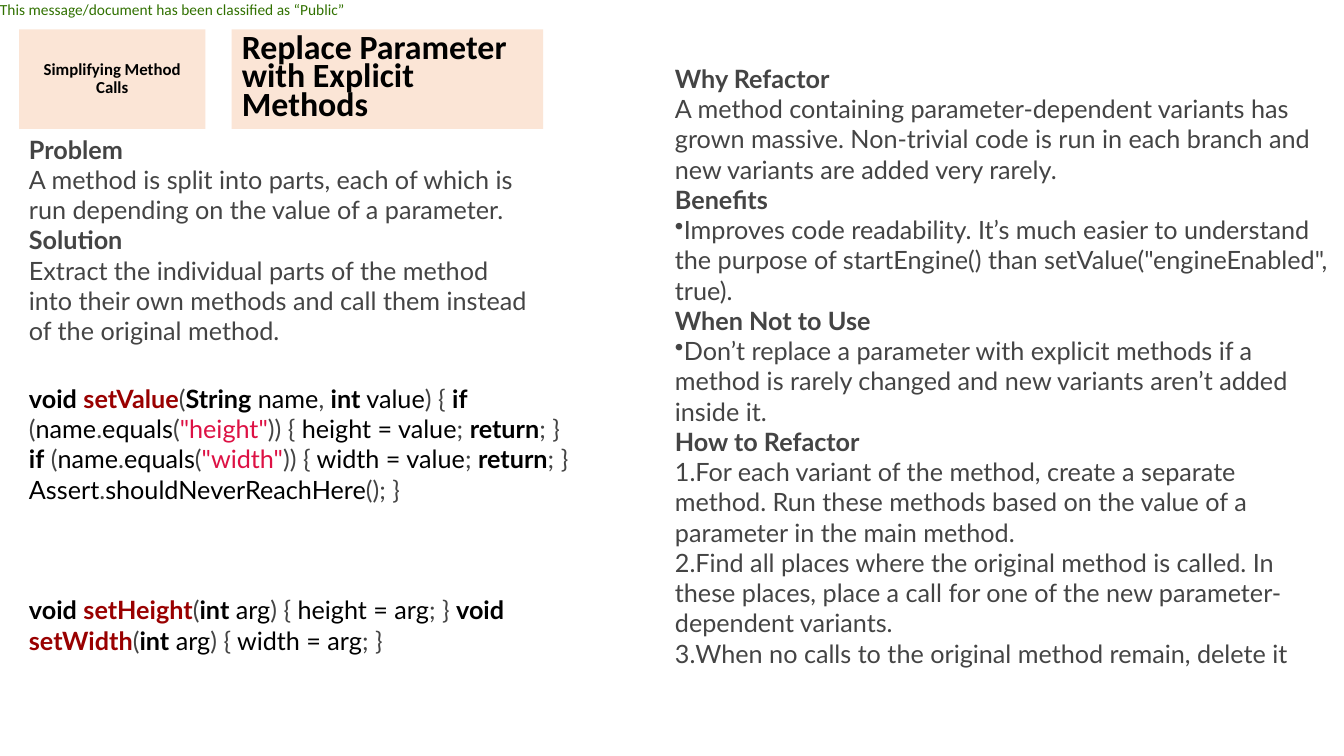
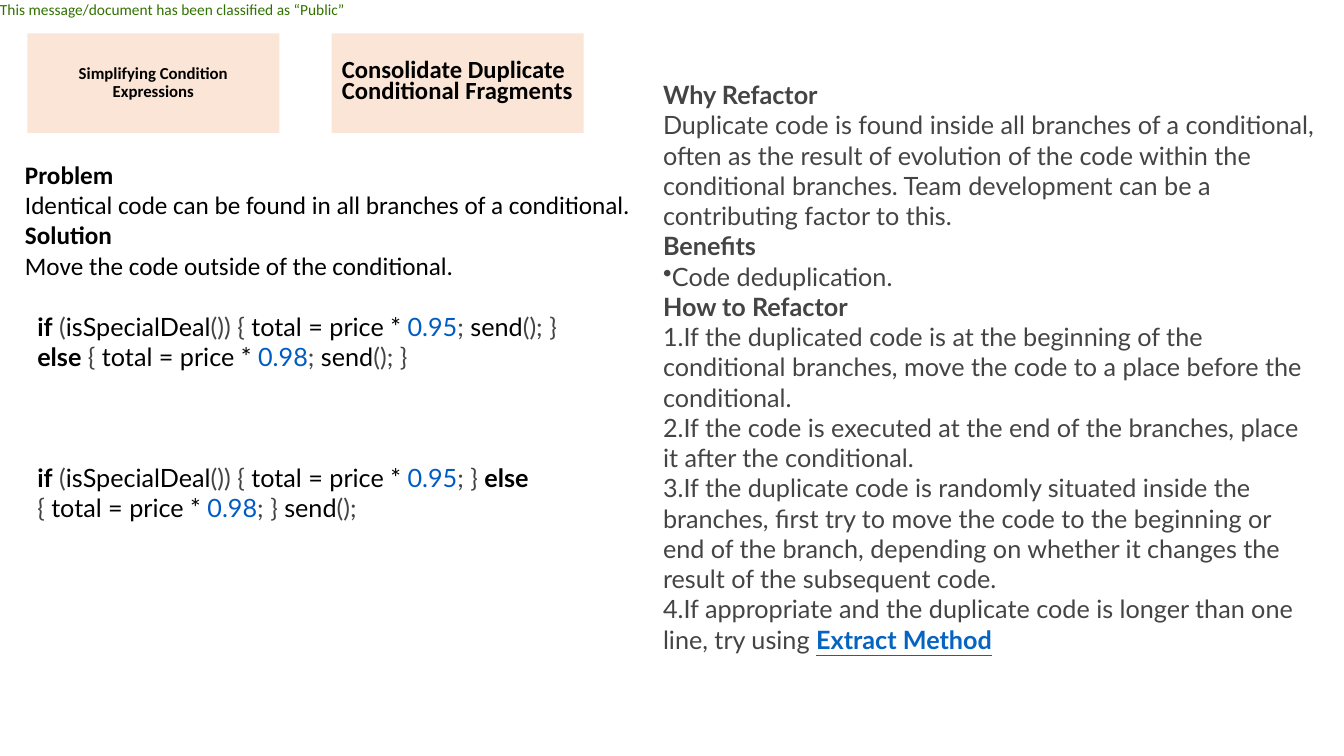
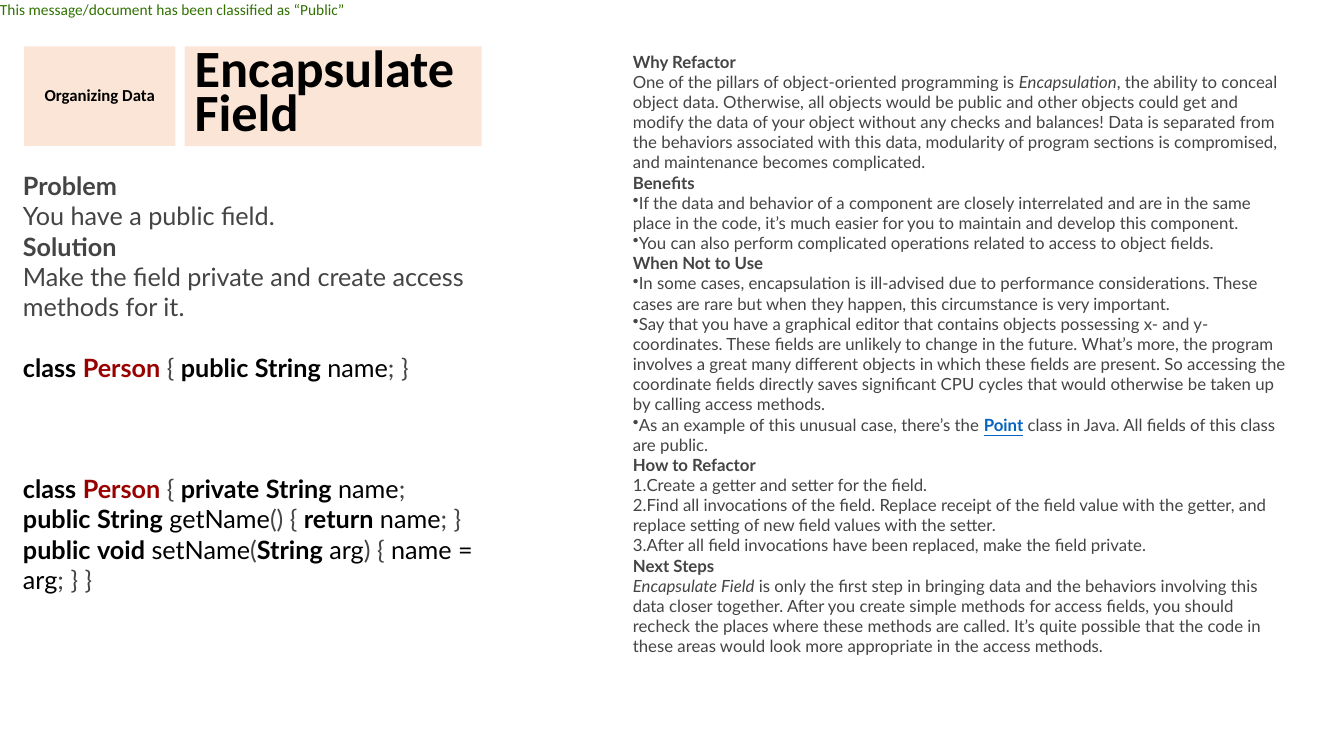
from itertools import groupby

from lxml import etree
from pptx import Presentation
from pptx.dml.color import RGBColor
from pptx.enum import shapes, text
from pptx.oxml import ns
from pptx.util import Cm, Pt

# Shared look
BLACK, GREY, PEACH, GREEN = "000000", "444444", "FBE5D6", "317100"
RED, PINK, BLUE, LINK = "990000", "DD1144", "005CC5", "0563C1"
SANS, BODY = "Calibri", "Lato"
BAND_HEIGHT = 2.51
ARTICLE_WIDTH = 17.04
CODE_GAP = 64.8  # three lines of 18 pt text
CLASSIFICATION = "This message/document has been classified as “Public”"

# Code colouring
KEYWORDS = {"void", "if", "else", "int", "String", "return", "class",
            "public", "private"}
DECLARED = {"setValue", "setHeight", "setWidth", "Person"}
PUNCTUATION = "(){};,"

BULLETS = {"bullet": ("a:buChar", {"char": "•"}),
           "step": ("a:buAutoNum", {"type": "arabicPeriod"})}


def rgb(hex_color):
    return RGBColor.from_string(hex_color)


# Text
def add_run(p, words, size=18, font=BODY, color=GREY, bold=False,
            italic=False, underline=False):
    r = p.add_run()
    r.text = words
    f = r.font
    f.size, f.name, f.color.rgb = Pt(size), font, rgb(color)
    f.bold, f.italic, f.underline = bold, italic, underline
    return r


def italic(words):
    return words, {"italic": True}


def link(words):
    return words, {"color": LINK, "bold": True, "underline": True}


def set_bullet(p, kind):
    pPr = p._p.get_or_add_pPr()
    pPr.set("marL", "0")
    pPr.set("indent", "0")
    tag, attributes = BULLETS[kind]
    etree.SubElement(pPr, ns.qn(tag), attributes)


def add_textbox(s, box, wrap=True):
    tf = s.shapes.add_textbox(*map(Cm, box)).text_frame
    tf.word_wrap = wrap
    return tf


def get_paragraph(tf, first):
    return tf.paragraphs[0] if first else tf.add_paragraph()


def add_sections(s, box, sections, wrap=True, **style):
    """Each section is a bold heading, a paragraph kind and its items."""
    tf = add_textbox(s, box, wrap)
    for i, (heading, kind, items) in enumerate(sections):
        add_run(get_paragraph(tf, i == 0), heading, bold=True, **style)
        for item in items:
            p = tf.add_paragraph()
            if kind in BULLETS:
                set_bullet(p, kind)
            for piece in [item] if isinstance(item, str) else item:
                words, extra = (piece, {}) if isinstance(piece, str) else piece
                add_run(p, words, **{**style, **extra})


# Code
def char_class(c):
    return "mark" if c in PUNCTUATION else "space" if c == " " else "word"


def token_style(token):
    """Colour and weight of one token."""
    if token in KEYWORDS:
        return BLACK, True
    if token in DECLARED:
        return RED, True
    if token[0].isdigit():
        return BLUE, False
    return (GREY if token[0] in PUNCTUATION + "." else BLACK), False


def styled_tokens(line):
    for i, part in enumerate(line.split('"')):
        if i % 2:
            yield f'"{part}"', (PINK, False)
            continue
        for _, chars in groupby(part, char_class):
            token = "".join(chars)
            pieces = [token] if token[0].isdigit() else token.partition(".")
            for piece in filter(None, pieces):
                yield piece, token_style(piece)


def add_code(s, box, before, after):
    tf = add_textbox(s, box)
    for i, line in enumerate((before, after)):
        p = get_paragraph(tf, i == 0)
        if i:
            p.space_before = Pt(CODE_GAP)
        for (color, bold), group in groupby(styled_tokens(line), lambda t: t[1]):
            add_run(p, "".join(t[0] for t in group), color=color, bold=bold)


# Slide parts
def fill_band(shape, words, size, align, spacing):
    shape.fill.solid()
    shape.fill.fore_color.rgb = rgb(PEACH)
    tf = shape.text_frame
    tf.word_wrap = True
    tf.auto_size = text.MSO_AUTO_SIZE.NONE
    tf.vertical_anchor = text.MSO_ANCHOR.MIDDLE
    p = tf.paragraphs[0]
    p.alignment, p.line_spacing = align, spacing
    add_run(p, words, size, SANS, BLACK, bold=True)


def add_header(prs, top, category, title):
    """Category and title are text, left and width; the title adds its size."""
    s = prs.slides.add_slide(prs.slide_layouts[5])
    words, left, width, size = title
    shape = s.shapes.title
    shape.left, shape.top = Cm(left), Cm(top)
    shape.width, shape.height = Cm(width), Cm(BAND_HEIGHT)
    fill_band(shape, words, size, text.PP_ALIGN.LEFT, 0.7)

    words, left, width = category
    shape = s.shapes.add_shape(shapes.MSO_SHAPE.RECTANGLE, Cm(left), Cm(top),
                               Cm(width), Cm(BAND_HEIGHT))
    shape.shadow.inherit = False
    shape.line.fill.background()
    fill_band(shape, words, 12, text.PP_ALIGN.CENTER, 0.9)
    return s


def add_classification(s):
    """Put the classification line on the layout that all slides use."""
    box = s.shapes.add_textbox(0, 0, Cm(9.53), Cm(0.46))
    tf = box.text_frame
    tf.margin_left = tf.margin_top = tf.margin_right = tf.margin_bottom = 0
    tf.word_wrap = True
    add_run(tf.paragraphs[0], CLASSIFICATION, 11, SANS, GREEN)
    s.slide_layout.shapes.element.append(box.element)


# Slides
def explicit_methods_slide(prs):
    s = add_header(prs, 0.74, ("Simplifying Method Calls", 0.48, 4.7),
                   ("Replace Parameter with Explicit Methods", 5.84, 7.85, 24.2))
    add_sections(s, (0.48, 3.25, 13.21, 5.64), [
        ("Problem", "body", [
            "A method is split into parts, each of which is run depending on "
            "the value of a parameter."]),
        ("Solution", "body", [
            "Extract the individual parts of the method into their own methods "
            "and call them instead of the original method."]),
    ])
    add_code(
        s, (0.48, 9.53, 14.27, 7.19),
        'void setValue(String name, int value) { if (name.equals("height")) '
        '{ height = value; return; } if (name.equals("width")) '
        '{ width = value; return; } Assert.shouldNeverReachHere(); }',
        "void setHeight(int arg) { height = arg; } "
        "void setWidth(int arg) { width = arg; }")
    add_sections(s, (16.76, 1.47, ARTICLE_WIDTH, 15.65), [
        ("Why Refactor", "body", [
            "A method containing parameter-dependent variants has grown "
            "massive. Non-trivial code is run in each branch and new variants "
            "are added very rarely."]),
        ("Benefits", "bullet", [
            "Improves code readability. It’s much easier to understand the "
            "purpose of startEngine() than "
            'setValue("engineEnabled", true).']),
        ("When Not to Use", "bullet", [
            "Don’t replace a parameter with explicit methods if a method is "
            "rarely changed and new variants aren’t added inside it."]),
        ("How to Refactor", "step", [
            "For each variant of the method, create a separate method. Run "
            "these methods based on the value of a parameter in the main "
            "method.",
            "Find all places where the original method is called. In these "
            "places, place a call for one of the new parameter-dependent "
            "variants.",
            "When no calls to the original method remain, delete it"]),
    ])
    return s


def duplicate_fragments_slide(prs):
    s = add_header(prs, 0.84, ("Simplifying Condition Expressions", 0.69, 6.35),
                   ("Consolidate Duplicate Conditional Fragments",
                    8.36, 6.35, 17.6))
    add_sections(s, (0.38, 3.89, 15.98, 3.33), [
        ("Problem", "body", [
            "Identical code can be found in all branches of a conditional."]),
        ("Solution", "body", ["Move the code outside of the conditional."]),
    ], wrap=False, font=SANS, color=BLACK)
    add_code(
        s, (0.69, 7.72, 14.05, 5.64),
        "if (isSpecialDeal()) { total = price * 0.95; send(); } "
        "else { total = price * 0.98; send(); }",
        "if (isSpecialDeal()) { total = price * 0.95; } "
        "else { total = price * 0.98; } send();")
    add_sections(s, (16.46, 1.88, ARTICLE_WIDTH, 14.88), [
        ("Why Refactor", "body", [
            "Duplicate code is found inside all branches of a conditional, "
            "often as the result of evolution of the code within the "
            "conditional branches. Team development can be a contributing "
            "factor to this."]),
        ("Benefits", "bullet", ["Code deduplication."]),
        ("How to Refactor", "step", [
            "If the duplicated code is at the beginning of the conditional "
            "branches, move the code to a place before the conditional.",
            "If the code is executed at the end of the branches, place it "
            "after the conditional.",
            "If the duplicate code is randomly situated inside the branches, "
            "first try to move the code to the beginning or end of the branch, "
            "depending on whether it changes the result of the subsequent "
            "code.",
            ["If appropriate and the duplicate code is longer than one line, "
             "try using ", link("Extract Method")]]),
    ])


def encapsulate_field_slide(prs):
    s = add_header(prs, 1.17, ("Organizing Data", 0.61, 3.81),
                   ("Encapsulate Field", 4.65, 7.49, 37.4))
    add_sections(s, (0.33, 4.17, 11.84, 4.11), [
        ("Problem", "body", ["You have a public field."]),
        ("Solution", "body", [
            "Make the field private and create access methods for it."]),
    ])
    add_code(
        s, (0.33, 8.76, 11.84, 5.64),
        "class Person { public String name; }",
        "class Person { private String name; public String getName() "
        "{ return name; } public void setName(String arg) { name = arg; } }")
    add_sections(s, (15.7, 1.17, ARTICLE_WIDTH, 15.65), [
        ("Why Refactor", "body", [
            ["One of the pillars of object-oriented programming is ",
             italic("Encapsulation"),
             ", the ability to conceal object data. Otherwise, all objects "
             "would be public and other objects could get and modify the data "
             "of your object without any checks and balances! Data is "
             "separated from the behaviors associated with this data, "
             "modularity of program sections is compromised, and maintenance "
             "becomes complicated."]]),
        ("Benefits", "bullet", [
            "If the data and behavior of a component are closely interrelated "
            "and are in the same place in the code, it’s much easier for you "
            "to maintain and develop this component.",
            "You can also perform complicated operations related to access to "
            "object fields."]),
        ("When Not to Use", "bullet", [
            "In some cases, encapsulation is ill-advised due to performance "
            "considerations. These cases are rare but when they happen, this "
            "circumstance is very important.",
            "Say that you have a graphical editor that contains objects "
            "possessing x- and y-coordinates. These fields are unlikely to "
            "change in the future. What’s more, the program involves a great "
            "many different objects in which these fields are present. So "
            "accessing the coordinate fields directly saves significant CPU "
            "cycles that would otherwise be taken up by calling access "
            "methods.",
            ["As an example of this unusual case, there’s the ", link("Point"),
             " class in Java. All fields of this class are public."]]),
        ("How to Refactor", "step", [
            "Create a getter and setter for the field.",
            "Find all invocations of the field. Replace receipt of the field "
            "value with the getter, and replace setting of new field values "
            "with the setter.",
            "After all field invocations have been replaced, make the field "
            "private."]),
        ("Next Steps", "body", [
            [italic("Encapsulate Field"),
             " is only the first step in bringing data and the behaviors "
             "involving this data closer together. After you create simple "
             "methods for access fields, you should recheck the places where "
             "these methods are called. It’s quite possible that the code in "
             "these areas would look more appropriate in the access "
             "methods."]]),
    ], size=12)


def main():
    prs = Presentation()
    prs.slide_width, prs.slide_height = Cm(33.87), Cm(19.05)
    add_classification(explicit_methods_slide(prs))
    duplicate_fragments_slide(prs)
    encapsulate_field_slide(prs)
    prs.save("out.pptx")


if __name__ == "__main__":
    main()
